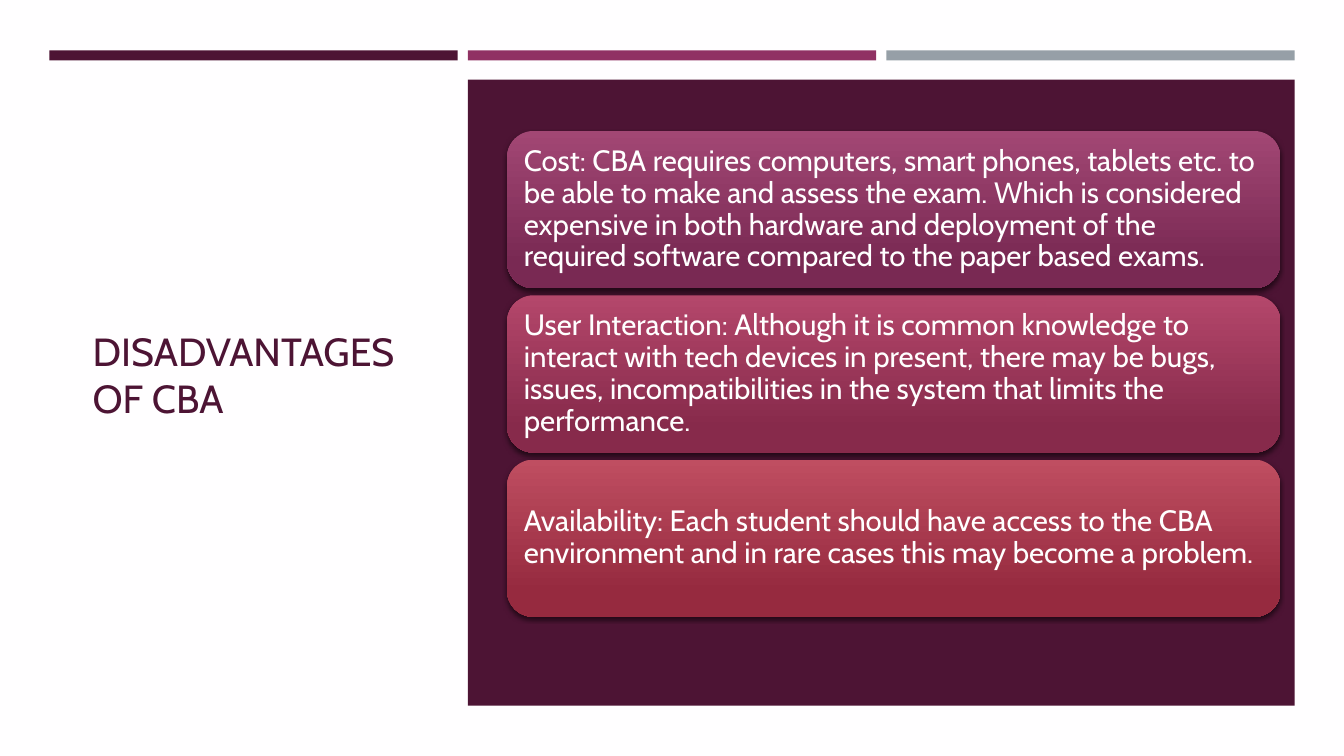
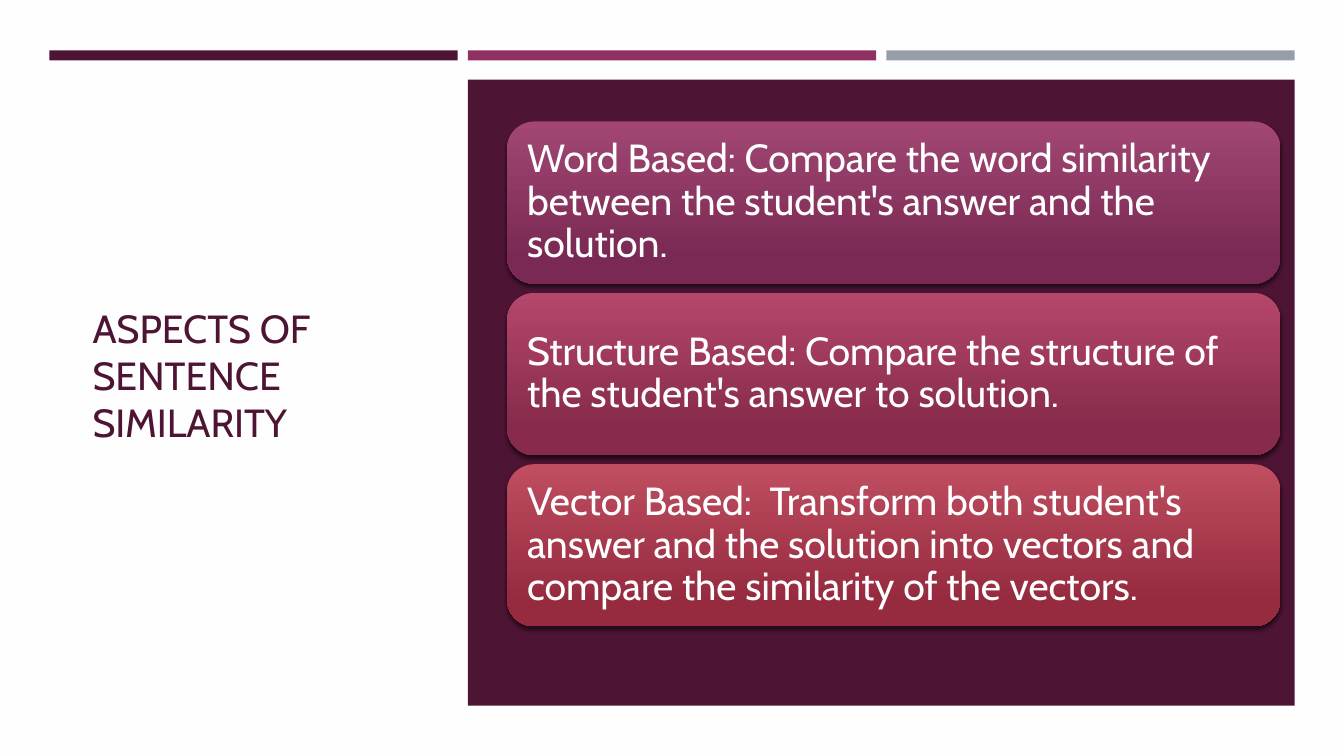
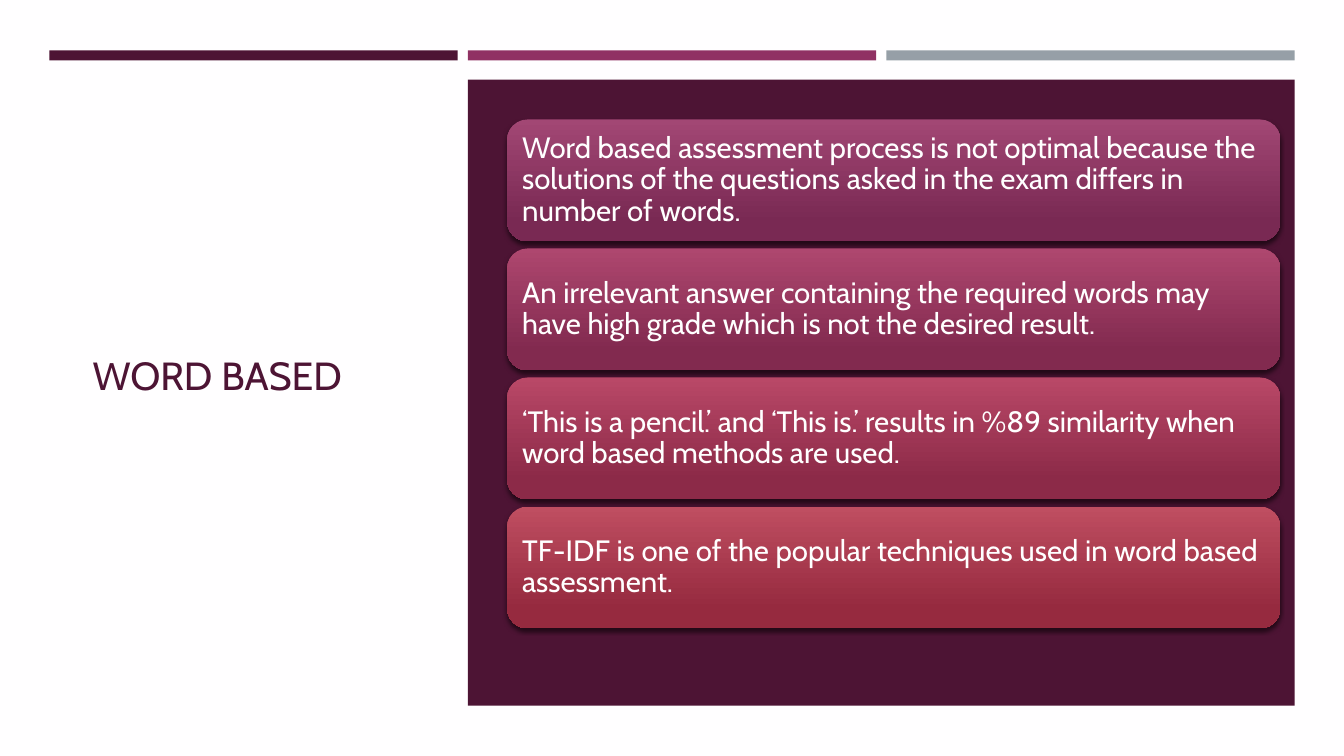
from dataclasses import dataclass

from lxml import etree
from pptx import Presentation
from pptx.dml.color import RGBColor
from pptx.enum.shapes import MSO_SHAPE
from pptx.enum.text import MSO_ANCHOR, PP_ALIGN
from pptx.oxml.ns import qn
from pptx.util import Inches, Pt

RECT = MSO_SHAPE.RECTANGLE
ROUND_RECT = MSO_SHAPE.ROUNDED_RECTANGLE
MIDDLE = MSO_ANCHOR.MIDDLE
LEFT = PP_ALIGN.LEFT


@dataclass(frozen=True)
class Theme:
    font: str = "Cabin"
    title_size: int = 28
    body_size: int = 21
    large_size: int = 28
    paper: str = "FFFEFF"
    white: str = "FFFFFF"
    shadow: str = "000000"
    dark: str = "4D1434"
    accent: str = "903163"
    grey: str = "969FA7"
    # Card gradients: top and bottom colour
    plum: tuple = ("A24774", "792953")
    mulberry: tuple = ("AE476F", "822A4F")
    rose: tuple = ("B4476B", "872A4B")
    berry: tuple = ("B94867", "8C2A48")
    crimson: tuple = ("BF4E61", "962A3F")


THEME = Theme()


class Deck:
    """Holds the style and the current slide."""

    def __init__(self, theme):
        self.theme = theme
        self.prs = Presentation()
        self.prs.slide_width = Inches(13.33)
        self.prs.slide_height = Inches(7.5)
        self.s = None

    def slide(self, title):
        t = self.theme
        self.s = self.prs.slides.add_slide(self.prs.slide_layouts[6])
        fill = self.s.background.fill
        fill.solid()
        fill.fore_color.rgb = RGBColor.from_string(t.paper)
        self.title(title)
        # Top bands and dark panel
        for i, color in enumerate((t.dark, t.accent, t.grey)):
            self.block(0.49 + 4.15 * i, 0.5, 4.05, 0.1, color)
        self.block(4.64, 0.79, 8.2, 6.21, t.dark)

    def shape(self, kind, x, y, w, h):
        sp = self.s.shapes.add_shape(kind, Inches(x), Inches(y), Inches(w), Inches(h))
        sp.shadow.inherit = False
        sp.line.fill.background()
        return sp

    def block(self, x, y, w, h, color):
        sp = self.shape(RECT, x, y, w, h)
        sp.fill.solid()
        sp.fill.fore_color.rgb = RGBColor.from_string(color)

    def text(self, tf, words, size, color):
        tf.word_wrap = True
        tf.vertical_anchor = MIDDLE
        p = tf.paragraphs[0]
        p.text = words
        p.alignment = LEFT
        p.font.name = self.theme.font
        p.font.size = Pt(size)
        p.font.color.rgb = RGBColor.from_string(color)
        return p

    def title(self, words):
        tb = self.s.shapes.add_textbox(Inches(0.82), Inches(1.14), Inches(3.34), Inches(5.15))
        self.text(tb.text_frame, words, self.theme.title_size, self.theme.dark)

    def card(self, y, h, words, colors, size, inset):
        sp = self.shape(ROUND_RECT, 5.03, y, 7.67, h)
        # Gradient from top to bottom
        sp.fill.gradient()
        sp.fill.gradient_angle = 270
        for stop, color, position in zip(sp.fill.gradient_stops, colors, (0, 0.84)):
            stop.color.rgb = RGBColor.from_string(color)
            stop.position = position
        self.drop_shadow(sp)
        # Text
        tf = sp.text_frame
        tf.margin_left = tf.margin_right = Inches(inset)
        tf.margin_top = tf.margin_bottom = Inches(inset)
        p = self.text(tf, words, size, self.theme.white)
        p.line_spacing = 0.9

    def drop_shadow(self, sp):
        effects = sp._element.spPr.find(qn("a:effectLst"))
        shadow = etree.SubElement(effects, qn("a:outerShdw"), blurRad=str(Pt(3)),
                                  dist=str(Pt(2)), dir="5400000", rotWithShape="0")
        color = etree.SubElement(shadow, qn("a:srgbClr"), val=self.theme.shadow)
        etree.SubElement(color, qn("a:alpha"), val="55000")

    def cards(self, items, h, gap, size, inset=0.09):
        """Stack equal cards around one fixed middle line."""
        pitch = h + gap
        top = 3.71 - (len(items) * pitch - gap) / 2
        for i, (colors, words) in enumerate(items):
            self.card(top + i * pitch, h, words, colors, size, inset)


def main():
    t = THEME
    deck = Deck(t)

    # Disadvantages
    deck.slide("DISADVANTAGES OF CBA")
    deck.cards([
        (t.plum, "Cost: CBA requires computers, smart phones, tablets etc. to be able to make "
                 "and assess the exam. Which is considered expensive in both hardware and "
                 "deployment of the required software compared to the paper based exams."),
        (t.rose, "User Interaction: Although it is common knowledge to interact with tech "
                 "devices in present, there may be bugs, issues, incompatibilities in the "
                 "system that limits the performance."),
        (t.crimson, "Availability: Each student should have access to the CBA environment "
                    "and in rare cases this may become a problem."),
    ], h=1.56, gap=0.07, size=t.body_size)

    # Aspects of similarity
    deck.slide("ASPECTS OF SENTENCE SIMILARITY")
    deck.cards([
        (t.plum, "Word Based: Compare the word similarity between the student's answer "
                 "and the solution."),
        (t.rose, "Structure Based: Compare the structure of the student's answer to solution."),
        (t.crimson, "Vector Based:  Transform both student's answer and the solution into "
                    "vectors and compare the similarity of the vectors."),
    ], h=1.61, gap=0.09, size=t.large_size, inset=0.12)

    # Word based assessment
    deck.slide("WORD BASED")
    deck.cards([
        (t.plum, "Word based assessment process is not optimal because the solutions of the "
                 "questions asked in the exam differs in number of words."),
        (t.mulberry, "An irrelevant answer containing the required words may have high grade "
                     "which is not the desired result."),
        (t.berry, "‘This is a pencil.’ and ‘This is.’ results in %89 similarity when word "
                  "based methods are used."),
        (t.crimson, "TF-IDF is one of the popular techniques used in word based assessment."),
    ], h=1.21, gap=0.07, size=t.body_size)

    deck.prs.save("out.pptx")


if __name__ == "__main__":
    main()
